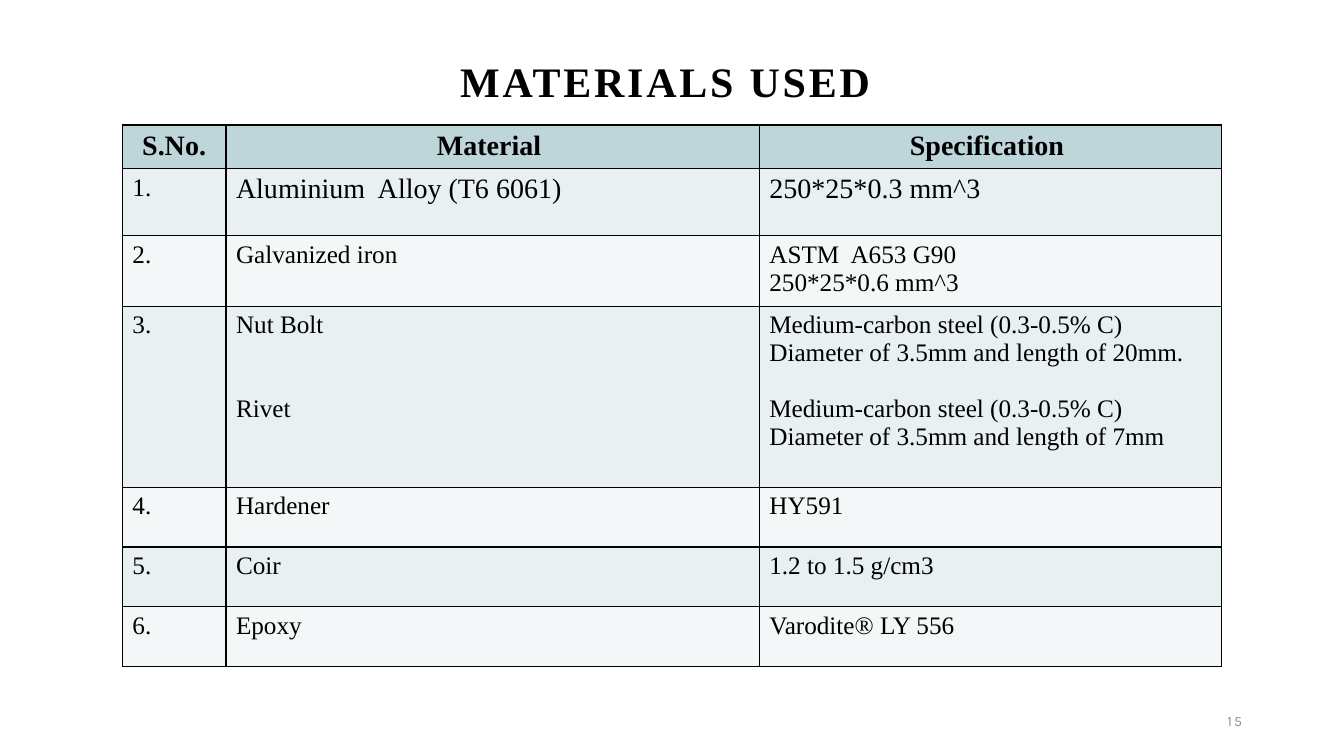
from lxml.etree import SubElement
from pptx import Presentation
from pptx.dml.color import RGBColor
from pptx.enum.text import MSO_ANCHOR, PP_ALIGN
from pptx.oxml import parse_xml
from pptx.oxml.ns import nsdecls
from pptx.util import Pt

# Content
TITLE = "MATERIALS USED "
PAGE_NUMBER = "15"
HEADERS = ["S.No.", "Material ", "Specification "]
# Each row: material paragraphs, specification paragraphs, text size;
# a paragraph is (text, space before)
MATERIALS = [
    ([("Aluminium  Alloy (T6 6061)", 0)], [("250*25*0.3 mm^3", 0)], 20),
    ([("Galvanized iron", 0)],
     [("ASTM  A653 G90", 0), ("250*25*0.6 mm^3", 0)], 18),
    ([("Nut Bolt", 0), ("Rivet", 40)],
     [("Medium-carbon steel (0.3-0.5% C) ", 0),
      ("Diameter of 3.5mm and length of 20mm.", 0),
      ("Medium-carbon steel (0.3-0.5% C)", 20),
      ("Diameter of 3.5mm and length of 7mm", 0)], 18),
    ([("Hardener", 0)], [("HY591", 0)], 18),
    ([("Coir", 0)], [("1.2 to 1.5 g/cm3", 0)], 18),
    ([("Epoxy", 0)], [("Varodite® LY 556", 0)], 18),
]

# Layout and style
LEFT, WIDTH = 87.4, 785.3
COLUMN_WIDTHS = [74, 381, 330.3]
ROW_HEIGHTS = [29.5, 47.8, 47.8, 129.4, 42.6, 42.6, 42.6]
COLORS = {"text": "000000", "border": "000000", "header": "BED6DA",
          "odd": "E8F0F1", "even": "F4F7F8", "page": "8C8C8C"}
SERIF = "Times New Roman"


def write(frame, paragraphs, size, bold=False, align=PP_ALIGN.LEFT,
          font=SERIF, color="text", spacing=0):
    for index, (text, space_before) in enumerate(paragraphs):
        paragraph = frame.paragraphs[0] if index == 0 else frame.add_paragraph()
        paragraph.text = text
        paragraph.alignment = align
        if space_before:
            paragraph.space_before = Pt(space_before)
        for run in paragraph.runs:
            run.font.name = font
            run.font.size = Pt(size)
            run.font.bold = bold
            run.font.color.rgb = RGBColor.from_string(COLORS[color])
            if spacing:
                run.font._element.set("spc", str(int(spacing * 100)))


def add_text(slide, left, top, width, height, text, size, **style):
    box = slide.shapes.add_textbox(Pt(left), Pt(top), Pt(width), Pt(height))
    frame = box.text_frame
    frame.word_wrap = True
    frame.vertical_anchor = MSO_ANCHOR.MIDDLE
    write(frame, [(text, 0)], size, **style)
    return frame


def style_cell(cell, color):
    cell.fill.solid()
    cell.fill.fore_color.rgb = RGBColor.from_string(COLORS[color])
    properties = cell._tc.get_or_add_tcPr()
    for index, side in enumerate(("lnL", "lnR", "lnT", "lnB")):
        properties.insert(index, parse_xml(
            f'<a:{side} {nsdecls("a")} w="{Pt(1)}"><a:solidFill>'
            f'<a:srgbClr val="{COLORS["border"]}"/></a:solidFill></a:{side}>'))


def main():
    presentation = Presentation()
    presentation.slide_width, presentation.slide_height = Pt(960), Pt(540)
    slide = presentation.slides.add_slide(presentation.slide_layouts[6])

    # Title and page number
    title = add_text(slide, LEFT, 37.4, WIDTH, 44.6, TITLE, 30, bold=True,
                     align=PP_ALIGN.CENTER, spacing=2)
    title.paragraphs[0].line_spacing = 0.9
    add_text(slide, 678.2, 500.4, 216, 28.8, PAGE_NUMBER, 10, font="Karla",
             color="page", align=PP_ALIGN.RIGHT, spacing=1.5)

    # Materials table
    table = slide.shapes.add_table(
        len(ROW_HEIGHTS), len(COLUMN_WIDTHS), Pt(LEFT), Pt(89.3),
        Pt(WIDTH), Pt(sum(ROW_HEIGHTS))).table
    for column, width in zip(table.columns, COLUMN_WIDTHS):
        column.width = Pt(width)
    for row, height in zip(table.rows, ROW_HEIGHTS):
        row.height = Pt(height)

    for cell, header in zip(table.rows[0].cells, HEADERS):
        style_cell(cell, "header")
        write(cell.text_frame, [(header, 0)], 20, bold=True,
              align=PP_ALIGN.CENTER)
    for number, (material, specification, size) in enumerate(MATERIALS, 1):
        contents = [([(f"{number}.", 0)], 18), (material, size),
                    (specification, size)]
        for cell, (paragraphs, text_size) in zip(table.rows[number].cells, contents):
            style_cell(cell, "odd" if number % 2 else "even")
            write(cell.text_frame, paragraphs, text_size)

    presentation.save("out.pptx")


if __name__ == "__main__":
    main()
